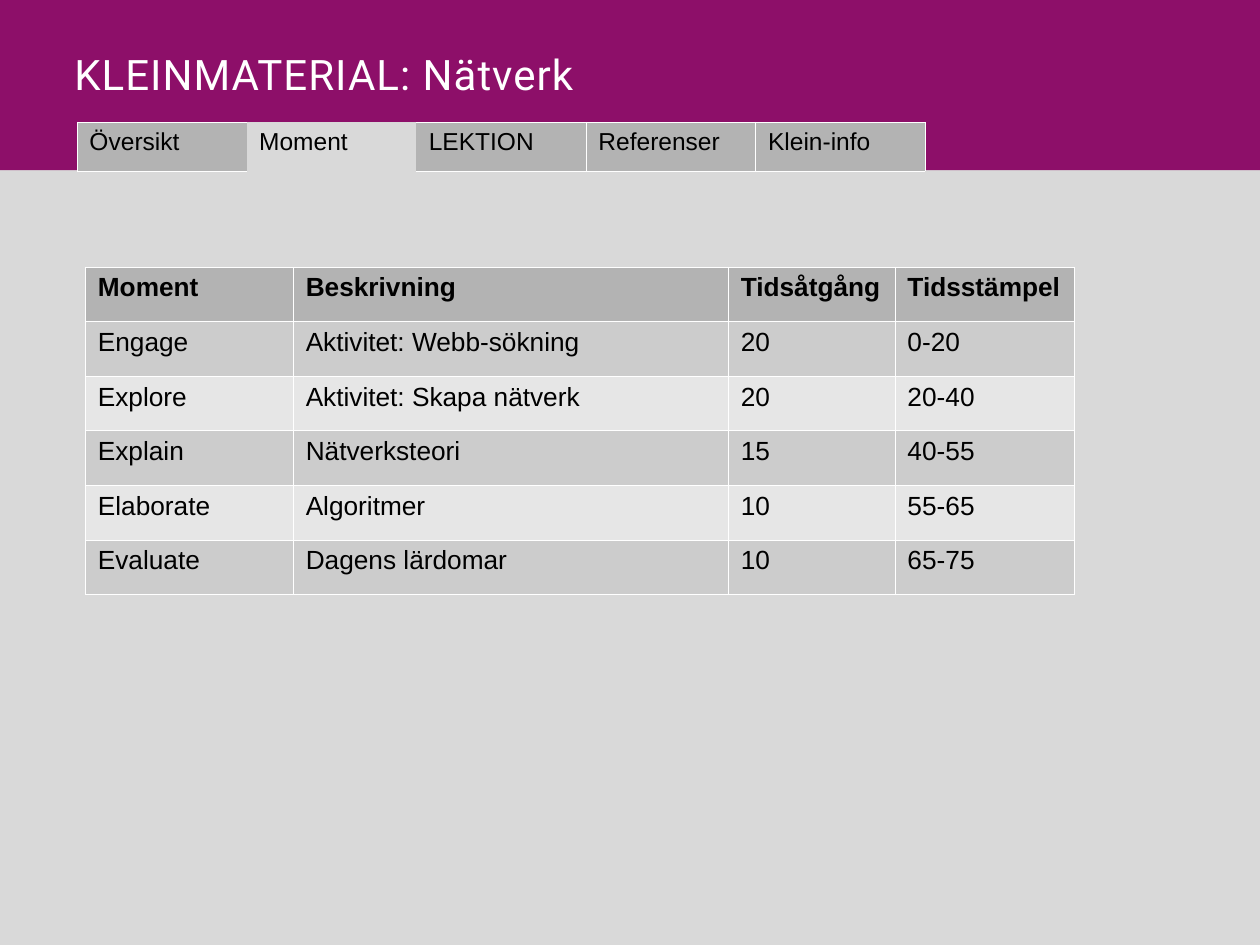
from lxml.etree import SubElement
from pptx import Presentation
from pptx.dml.color import RGBColor
from pptx.enum.shapes import MSO_SHAPE
from pptx.oxml.ns import qn
from pptx.util import Cm, Pt

PURPLE = RGBColor(0x8D, 0x0F, 0x69)
WHITE = RGBColor(0xFF, 0xFF, 0xFF)
BLACK = RGBColor(0, 0, 0)
PAGE_GREY = RGBColor(0xD9, 0xD9, 0xD9)
HEADER_GREY = RGBColor(0xB3, 0xB3, 0xB3)
BAND_GREYS = (RGBColor(0xCC, 0xCC, 0xCC), RGBColor(0xE6, 0xE6, 0xE6))

SLIDE_WIDTH, SLIDE_HEIGHT, BANNER_HEIGHT = 25.4, 19.05, 3.43
ALL_SIDES = "LRTB"

TABS = ["Översikt", "Moment", "LEKTION", "Referenser", "Klein-info"]
TAB_SIDES = ["LTB", "", "RTB", ALL_SIDES, ALL_SIDES]
ACTIVE_TAB = "Moment"

SCHEDULE = [
    ["Moment", "Beskrivning", "Tidsåtgång", "Tidsstämpel"],
    ["Engage", "Aktivitet: Webb-sökning", "20", "0-20"],
    ["Explore", "Aktivitet: Skapa nätverk", "20", "20-40"],
    ["Explain", "Nätverksteori", "15", "40-55"],
    ["Elaborate", "Algoritmer", "10", "55-65"],
    ["Evaluate", "Dagens lärdomar", "10", "65-75"],
]


def write(frame, text, size, font="Arial", color=BLACK, bold=False,
          line_spacing=None, tracking=None):
    paragraph = frame.paragraphs[0]
    if line_spacing:
        paragraph.line_spacing = Pt(line_spacing)
    run = paragraph.add_run()
    run.text = text
    run.font.size = Pt(size)
    run.font.name = font
    run.font.bold = bold
    run.font.color.rgb = color
    if tracking:
        run.font._element.set("spc", str(round(tracking * 100)))


def add_band(slide, top, height, color):
    band = slide.shapes.add_shape(
        MSO_SHAPE.RECTANGLE, 0, Cm(top), Cm(SLIDE_WIDTH), Cm(height))
    band.shadow.inherit = False
    band.fill.solid()
    band.fill.fore_color.rgb = color
    band.line.fill.background()


def add_title(slide, text):
    title = slide.shapes.add_textbox(Cm(1.5), Cm(1.04), Cm(10.36), Cm(0.91))
    frame = title.text_frame
    frame.word_wrap = True
    frame.margin_left = frame.margin_right = frame.margin_bottom = 0
    frame.margin_top = Cm(0.05)
    write(frame, text, 24, font="Roboto", color=WHITE,
          line_spacing=25.9, tracking=0.6)


def set_borders(cell, sides):
    properties = cell._tc.get_or_add_tcPr()
    for side in ALL_SIDES:
        border = SubElement(properties, qn(f"a:ln{side}"), w=str(Pt(0.06)))
        if side in sides:
            fill = SubElement(border, qn("a:solidFill"))
            SubElement(fill, qn("a:srgbClr"), val=str(WHITE))
        else:
            SubElement(border, qn("a:noFill"))


def fill_cell(cell, text, size, color, bold=False, sides=ALL_SIDES):
    set_borders(cell, sides)
    cell.fill.solid()
    cell.fill.fore_color.rgb = color
    write(cell.text_frame, text, size, bold=bold)


def add_grid(slide, left, top, widths, row_height, row_count):
    table = slide.shapes.add_table(
        row_count, len(widths), Cm(left), Cm(top),
        Cm(sum(widths)), Cm(row_height * row_count)).table
    table.first_row = table.horz_banding = False
    for column, width in zip(table.columns, widths):
        column.width = Cm(width)
    for row in table.rows:
        row.height = Cm(row_height)
    return table


def add_schedule(slide):
    table = add_grid(slide, 1.72, 5.38, [4.19, 8.77, 3.36, 3.62],
                     1.1, len(SCHEDULE))
    for r, texts in enumerate(SCHEDULE):
        is_header = r == 0
        color = HEADER_GREY if is_header else BAND_GREYS[(r - 1) % 2]
        for c, text in enumerate(texts):
            fill_cell(table.cell(r, c), text, 15, color, bold=is_header)


def add_tabs(slide):
    table = add_grid(slide, 1.55, 2.46, [3.42] * len(TABS), 0.98, 1)
    for c, (text, sides) in enumerate(zip(TABS, TAB_SIDES)):
        color = PAGE_GREY if text == ACTIVE_TAB else HEADER_GREY
        fill_cell(table.cell(0, c), text, 14, color, sides=sides)


def main():
    presentation = Presentation()
    presentation.slide_width = Cm(SLIDE_WIDTH)
    presentation.slide_height = Cm(SLIDE_HEIGHT)
    slide = presentation.slides.add_slide(presentation.slide_layouts[6])
    add_band(slide, BANNER_HEIGHT, SLIDE_HEIGHT - BANNER_HEIGHT, PAGE_GREY)
    add_band(slide, 0, BANNER_HEIGHT, PURPLE)
    add_title(slide, "KLEINMATERIAL: Nätverk")
    add_schedule(slide)
    add_tabs(slide)
    presentation.save("out.pptx")


if __name__ == "__main__":
    main()
